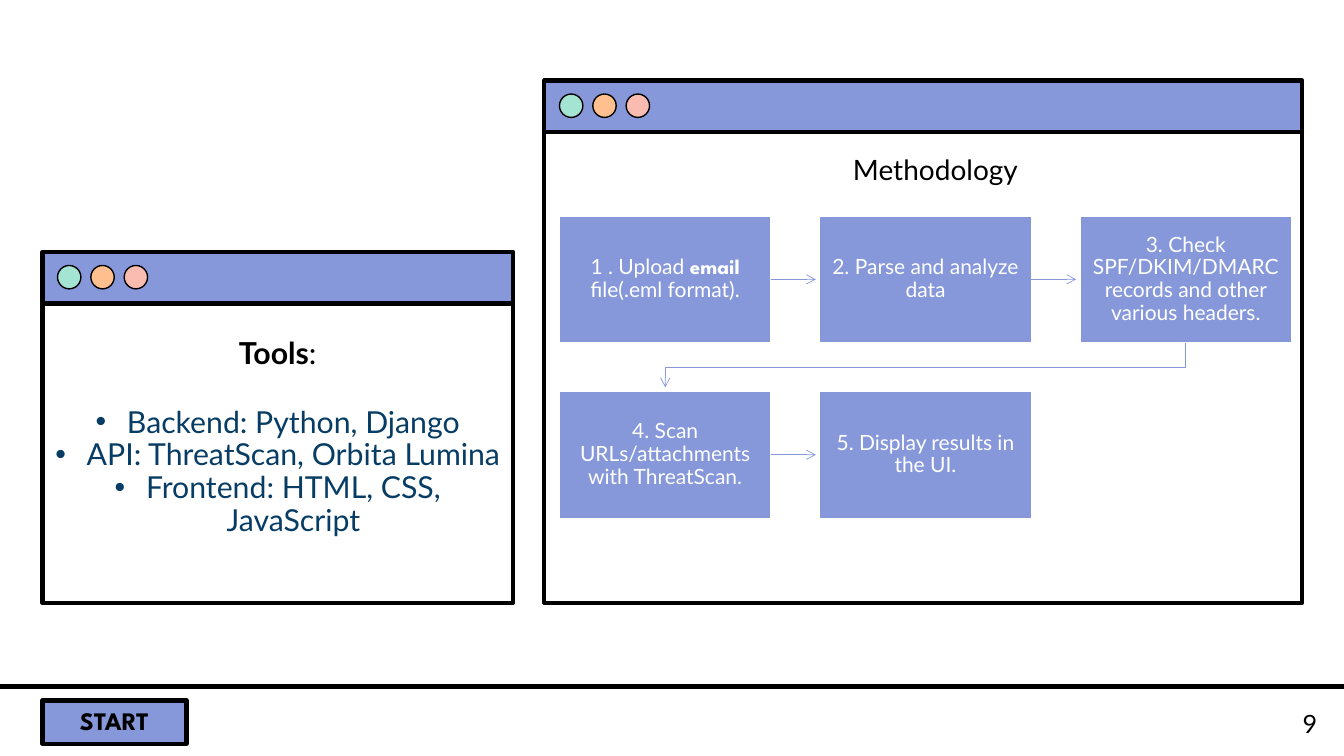
from lxml import etree
from pptx import Presentation
from pptx.dml.color import RGBColor
from pptx.enum.shapes import MSO_CONNECTOR, MSO_SHAPE
from pptx.enum.text import MSO_ANCHOR, MSO_AUTO_SIZE, PP_ALIGN
from pptx.oxml.ns import qn
from pptx.util import Cm, Pt

THEME = {
    "ink": RGBColor(0x00, 0x00, 0x00),
    "paper": RGBColor(0xFF, 0xFF, 0xFF),
    "accent": RGBColor(0x86, 0x98, 0xDA),
    "list": RGBColor(0x07, 0x3C, 0x65),
    "dots": [RGBColor(0xA4, 0xE4, 0xD2), RGBColor(0xFF, 0xBF, 0x8F), RGBColor(0xFA, 0xBB, 0xB0)],
    "body_font": "Lato",
    "display_font": "League Spartan",
    "tools_size": Pt(21.6),
    "heading_size": Pt(20),
    "label_size": Pt(18),
    "step_size": Pt(15),
}
DISPLAY = {"name": THEME["display_font"], "bold": True}
FRAME = {"word_wrap": True, "auto_size": MSO_AUTO_SIZE.NONE, "vertical_anchor": MSO_ANCHOR.MIDDLE}
PARAGRAPH = {"alignment": PP_ALIGN.CENTER, "line_spacing": 0.9, "space_before": Pt(0)}


def add_box(preset, place, fill, line, line_width):
    box = slide.shapes.add_shape(preset, *map(Cm, place))
    box.shadow.inherit = False
    box.fill.solid()
    box.fill.fore_color.rgb = fill
    box.line.color.rgb = line
    box.line.width = Pt(line_width)
    return box


def write(holder, paragraphs, size, color):
    """Fill a text holder; each paragraph is a list of (text, font formats) runs."""
    frame = holder.text_frame
    for key, value in FRAME.items():
        setattr(frame, key, value)
    for index, runs in enumerate(paragraphs):
        paragraph = frame.add_paragraph() if index else frame.paragraphs[0]
        for key, value in PARAGRAPH.items():
            setattr(paragraph, key, value)
        for text, formats in runs:
            run = paragraph.add_run()
            run.text = text
            run.font.color.rgb = color
            base = {"name": THEME["body_font"], "size": size, "bold": False}
            for key, value in (base | formats).items():
                setattr(run.font, key, value)
    return frame


prs = Presentation()
prs.slide_width, prs.slide_height = Cm(33.87), Cm(19.05)
slide = prs.slides.add_slide(prs.slide_layouts[1])

# Two browser windows: left, top, width, height of the page below the bar
BAR = 1.3
for left, top, width, page in [(1.07, 6.35, 11.86, 7.54), (13.72, 2.03, 19.1, 11.86)]:
    add_box(MSO_SHAPE.RECTANGLE, (left, top + BAR, width, page), THEME["paper"], THEME["ink"], 3)
    add_box(MSO_SHAPE.RECTANGLE, (left, top, width, BAR), THEME["accent"], THEME["ink"], 3)
    for index, dot in enumerate(THEME["dots"]):
        place = (left + 0.38 + 0.84 * index, top + 0.34, 0.59, 0.59)
        add_box(MSO_SHAPE.OVAL, place, dot, THEME["ink"], 1)

# Footer
rule = slide.shapes.add_connector(MSO_CONNECTOR.STRAIGHT, 0, Cm(17.3), prs.slide_width, Cm(17.3))
rule.line.color.rgb = THEME["ink"]
rule.line.width = Pt(3)
etree.SubElement(rule.element.spPr, qn("a:effectLst"))
start = add_box(MSO_SHAPE.RECTANGLE, (1.07, 17.65, 3.63, 1.09), THEME["accent"], THEME["ink"], 3)
write(start, [[("START", DISPLAY)]], THEME["label_size"], THEME["ink"])
page_number = slide.shapes.add_textbox(Cm(32.16), Cm(17.4), Cm(1.7), Cm(1.75))
write(page_number, [[("9", {})]], THEME["label_size"], THEME["ink"])

# Tools: heading and list, placed in front of the window
tools, tool_list = slide.shapes.title, slide.placeholders[1]
for holder, top, height in [(tools, 8.44, 1), (tool_list, 10.1, 3.6)]:
    holder.left, holder.top, holder.width, holder.height = map(Cm, (1.07, top, 11.86, height))
    holder.element.getparent().append(holder.element)
write(tools, [[("Tools", {"bold": True}), (":", {})]], THEME["tools_size"], THEME["ink"])
tool_names = [
    "Backend: Python, Django",
    "API: ThreatScan, Orbita Lumina",
    "Frontend: HTML, CSS, JavaScript",
]
tool_frame = write(tool_list, [[(name, {})] for name in tool_names], THEME["tools_size"], THEME["list"])
for paragraph in tool_frame.paragraphs:
    properties = paragraph._p.get_or_add_pPr()
    properties.set("marL", str(Cm(0.79)))
    properties.set("indent", str(-Cm(0.79)))

# Methodology: steps in a grid of three columns
heading = slide.shapes.add_textbox(Cm(21.06), Cm(3.76), Cm(5.03), Cm(1.12))
write(heading, [[("Methodology", {})]], THEME["heading_size"], THEME["ink"])

STEP_W, STEP_H, GAP = 5.33, 3.2, 1.23
steps = [
    [("1 . Upload ", {}), ("email ", DISPLAY), ("file(.eml format).", {})],
    [("2. Parse and analyze data", {})],
    [("3. Check SPF/DKIM/DMARC records and other various headers.", {})],
    [("4. Scan URLs/attachments with ThreatScan.", {})],
    [("5. Display results in the UI.", {})],
]
corners = []
for index, step in enumerate(steps):
    row, column = divmod(index, 3)
    left, top = 14.1 + column * (STEP_W + GAP), 5.44 + row * 4.42
    corners.append((left, top))
    box = add_box(MSO_SHAPE.RECTANGLE, (left, top, STEP_W, STEP_H), THEME["accent"], THEME["paper"], 1)
    write(box, [step], THEME["step_size"], THEME["paper"])

# Arrows from each step to the next
for (left, top), (next_left, next_top) in zip(corners, corners[1:]):
    if top == next_top:
        middle = top + STEP_H / 2
        route = [(left + STEP_W, middle), (next_left - 0.1, middle)]
    else:
        center, next_center = left + STEP_W / 2, next_left + STEP_W / 2
        bend = (top + STEP_H + next_top) / 2
        route = [(center, top + STEP_H), (center, bend), (next_center, bend), (next_center, next_top - 0.1)]
    points = [(Cm(x), Cm(y)) for x, y in route]
    outline = slide.shapes.build_freeform(*points[0])
    outline.add_line_segments(points[1:], close=False)
    arrow = outline.convert_to_shape()
    arrow.shadow.inherit = False
    arrow.fill.background()
    arrow.line.color.rgb = THEME["accent"]
    arrow.line.width = Pt(0.5)
    etree.SubElement(arrow.element.spPr.find(qn("a:ln")), qn("a:tailEnd"), type="arrow")

prs.save("out.pptx")
